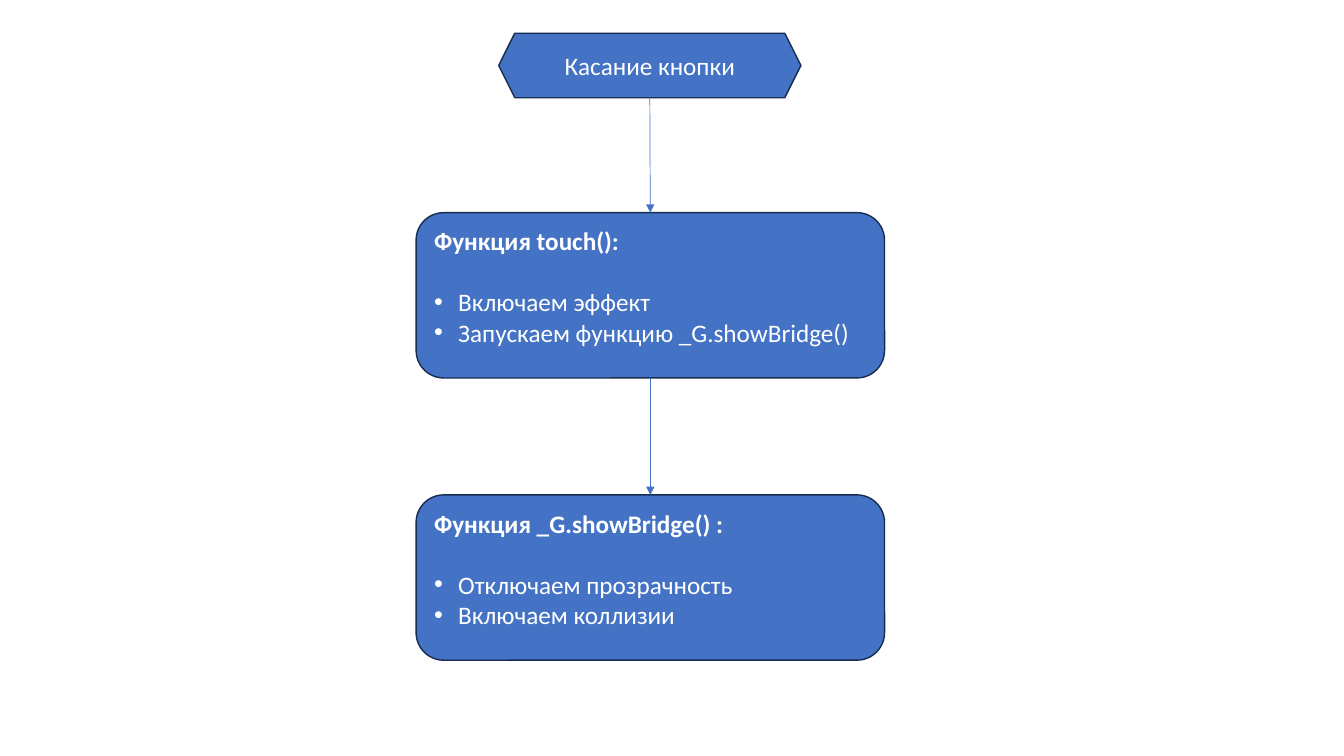
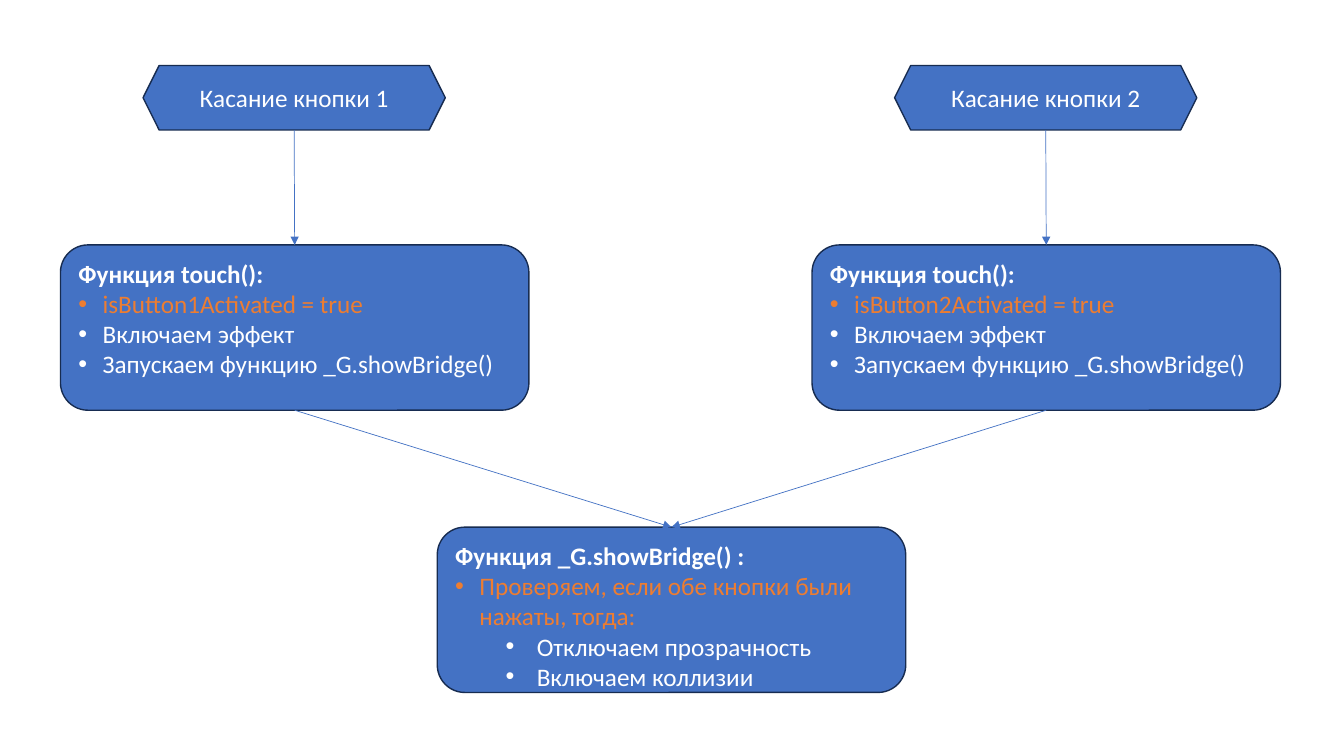
from dataclasses import dataclass

from lxml import etree
from pptx import Presentation, util as u
from pptx.dml.color import RGBColor
from pptx.enum import shapes, text
from pptx.oxml import ns

PX = 9144
BLUE, NAVY, WHITE, WARM = "4472C4", "172C51", "FFFFFF", "ED7D31"
FONT = {"name": "Calibri", "size": u.Pt(18)}
HEX_W, HEX_H = 300, 64
BOX_W, BOX_H = 465, 164
FRAME = {
    "margin_left": 10 * PX,
    "margin_right": 10 * PX,
    "margin_top": 5 * PX,
    "margin_bottom": 5 * PX,
    "word_wrap": True,
}


@dataclass
class Line:
    text: str
    hue: str = WHITE
    bold: bool = False
    left: int = 0
    hang: int = 0
    gap: int = 0


@dataclass
class Node:
    mid: int
    top: int
    lines: list[Line]
    start: bool = False


@dataclass
class Link:
    tail: int
    head: int


@dataclass
class Chart:
    nodes: list[Node]
    links: list[Link]


def head(words: str) -> Line:
    return Line(words, bold=True)


def item(words: str, hue: str = WHITE, gap: int = 0) -> Line:
    return Line(words, hue, left=24, hang=24, gap=gap)


def sub(words: str) -> Line:
    return Line(words, left=81, hang=31)


def tint(code: str) -> RGBColor:
    return RGBColor.from_string(code)


def apply(target, style: dict) -> None:
    for key, value in style.items():
        setattr(target, key, value)


def add_tag(parent, tag: str, **attrs: str):
    return etree.SubElement(parent, ns.qn(tag), **attrs)


def write(para, line: Line, align) -> None:
    props = para._p.get_or_add_pPr()
    if line.hang:
        props.set("marL", str(line.left * PX))
        props.set("indent", str(-line.hang * PX))
        add_tag(add_tag(props, "a:buClr"), "a:srgbClr", val=line.hue)
        add_tag(props, "a:buFont", typeface="Arial")
        add_tag(props, "a:buChar", char="•")
    para.alignment = align
    if line.gap:
        para.space_before = u.Pt(line.gap)
    run = para.add_run()
    run.text = line.text
    apply(run.font, FONT | {"bold": line.bold})
    run.font.color.rgb = tint(line.hue)


def draw_node(slide, node: Node):
    if node.start:
        kind, wide, high = shapes.MSO_SHAPE.HEXAGON, HEX_W, HEX_H
        align, anchor = text.PP_ALIGN.CENTER, text.MSO_ANCHOR.MIDDLE
    else:
        kind, wide, high = shapes.MSO_SHAPE.ROUNDED_RECTANGLE, BOX_W, BOX_H
        align, anchor = text.PP_ALIGN.LEFT, text.MSO_ANCHOR.TOP
    left = node.mid - wide // 2
    shape = slide.shapes.add_shape(kind, left * PX, node.top * PX, wide * PX, high * PX)
    shape.shadow.inherit = False
    shape.fill.solid()
    shape.fill.fore_color.rgb = tint(BLUE)
    shape.line.color.rgb = tint(NAVY)
    shape.line.width = u.Pt(1)
    frame = shape.text_frame
    apply(frame, FRAME | {"vertical_anchor": anchor})
    for i, line in enumerate(node.lines):
        para = frame.add_paragraph() if i else frame.paragraphs[0]
        write(para, line, align)
    return shape


def draw_link(slide, tail, tip, start: bool) -> None:
    wire = slide.shapes.add_connector(
        shapes.MSO_CONNECTOR.STRAIGHT,
        tail.left + tail.width // 2,
        tail.top + tail.height,
        tip.left + tip.width // 2,
        tip.top,
    )
    if not start:
        wire.begin_connect(tail, 2)
    wire.end_connect(tip, 0)
    wire.line.color.rgb = tint(BLUE)
    wire.line.width = u.Pt(0.5)
    add_tag(wire.line._get_or_add_ln(), "a:tailEnd", type="triangle")
    add_tag(wire._element.spPr, "a:effectLst")


def draw_chart(deck, chart: Chart) -> None:
    slide = deck.slides.add_slide(deck.slide_layouts[6])
    drawn = [draw_node(slide, node) for node in chart.nodes]
    for link in chart.links:
        start = chart.nodes[link.tail].start
        draw_link(slide, drawn[link.tail], drawn[link.head], start)


def rows(top: int) -> tuple[int, int, int]:
    return top, top + 178, top + 458


def touch(first: list[Line], gap: int = 0) -> list[Line]:
    return [
        head("Функция touch():"),
        *first,
        item("Включаем эффект", gap=gap),
        item("Запускаем функцию _G.showBridge()"),
    ]


def one_key() -> Chart:
    mid = 645
    top, step, end = rows(33)
    bridge = [
        head("Функция _G.showBridge() :"),
        item("Отключаем прозрачность", gap=22),
        item("Включаем коллизии"),
    ]
    nodes = [
        Node(mid, top, [Line("Касание кнопки")], start=True),
        Node(mid, step, touch([], gap=22)),
        Node(mid, end, bridge),
    ]
    return Chart(nodes, [Link(0, 1), Link(1, 2)])


def two_keys() -> Chart:
    top, step, end = rows(65)
    bridge = [
        head("Функция _G.showBridge() :"),
        item("Проверяем, если обе кнопки были нажаты, тогда:", WARM),
        sub("Отключаем прозрачность"),
        sub("Включаем коллизии"),
    ]
    nodes, links = [Node(666, end, bridge)], []
    for num, mid in enumerate((292, 1038), 1):
        flag = item(f"isButton{num}Activated = true", WARM)
        key = len(nodes)
        nodes += [
            Node(mid, top, [Line(f"Касание кнопки {num}")], start=True),
            Node(mid, step, touch([flag])),
        ]
        links += [Link(key, key + 1), Link(key + 1, 0)]
    return Chart(nodes, links)


def main() -> None:
    deck = Presentation()
    apply(deck, {"slide_width": 1334 * PX, "slide_height": 750 * PX})
    for chart in (one_key(), two_keys()):
        draw_chart(deck, chart)
    deck.save("out.pptx")


if __name__ == "__main__":
    main()
